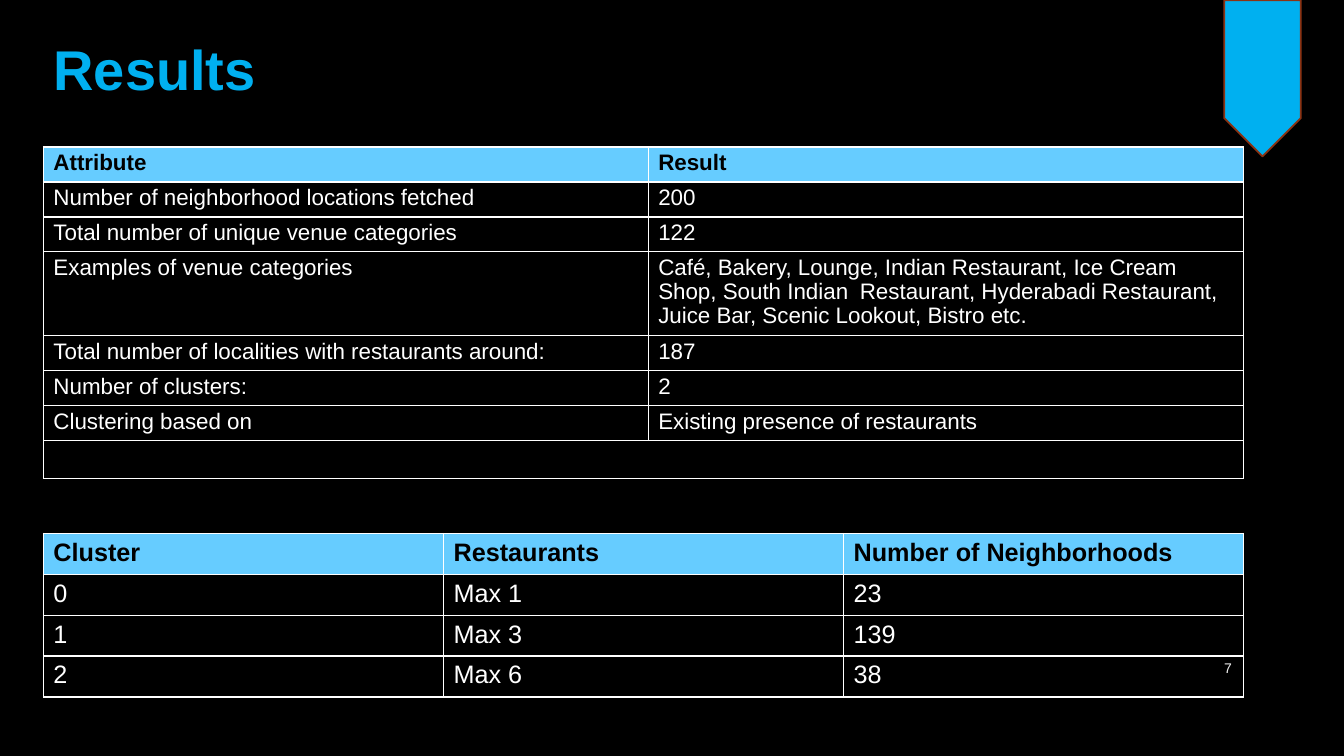
import pptx
import pptx.util
import pptx.dml.color
import pptx.enum.shapes
import pptx.enum.text
import pptx.oxml.ns
from lxml import etree

Pt = pptx.util.Pt
ALIGN = pptx.enum.text.PP_ALIGN
ANCHOR = pptx.enum.text.MSO_ANCHOR

FONT = "Arial"
BLACK, WHITE, PALE = "000000", "FFFFFF", "F2F2F2"
ACCENT, HEADER, RUST, OUTLINE = "00B0F0", "66CCFF", "8B3314", "404040"

TITLE = "Results"
PAGE = "7"
FINDINGS = [
    ("Attribute", "Result"),
    ("Number of neighborhood locations fetched", "200"),
    ("Total number of unique venue categories", "122"),
    ("Examples of venue categories",
     "Café, Bakery, Lounge, Indian Restaurant, Ice Cream Shop, South Indian \tRestaurant, "
     "Hyderabadi Restaurant, Juice Bar, Scenic Lookout, Bistro etc."),
    ("Total number of localities with restaurants around:", "187"),
    ("Number of clusters:", "2"),
    ("Clustering based on", "Existing presence of restaurants"),
    ("", ""),
]
CLUSTERS = [
    ("Cluster", "Restaurants", "Number of Neighborhoods"),
    ("0", "Max 1", "23"),
    ("1", "Max 3", "139"),
    ("2", "Max 6", "38"),
]
LEFT = 31
FINDING_WIDTHS = [432, 425]
FINDING_HEIGHTS = [25, 25, 25, 60, 25, 25, 25, 25]
CLUSTER_WIDTHS = [285.8] * 3
CLUSTER_HEIGHTS = [29.2] * 4


def rgb(value):
    return pptx.dml.color.RGBColor.from_string(value)


def box(left, top, width, height):
    return Pt(left), Pt(top), Pt(width), Pt(height)


def child(parent, tag, **attributes):
    return etree.SubElement(parent, pptx.oxml.ns.qn(tag), **attributes)


def write(frame, text, size=16, color=WHITE, bold=False, align=ALIGN.LEFT, spacing=None):
    frame.word_wrap = True
    paragraph = frame.paragraphs[0]
    paragraph.alignment = align
    paragraph.line_spacing = spacing
    if not text:
        child(paragraph._p, "a:endParaRPr", sz=str(size * 100))
        return None
    run = paragraph.add_run()
    run.text = text
    run.font.name = FONT
    run.font.size = Pt(size)
    run.font.bold = bold
    run.font.color.rgb = rgb(color)
    return run


def add_borders(cell):
    properties = cell._tc.get_or_add_tcPr()
    for side in ("a:lnL", "a:lnR", "a:lnT", "a:lnB"):
        border = child(properties, side, w=str(Pt(1)))
        child(child(border, "a:solidFill"), "a:srgbClr", val=WHITE)


def add_grid(slide, rows, top, widths, heights, size, spacing=None):
    frame = slide.shapes.add_table(
        len(rows), len(widths), *box(LEFT, top, sum(widths), sum(heights)))
    grid = frame.table
    for column, width in zip(grid.columns, widths):
        column.width = Pt(width)
    for index, (row, height) in enumerate(zip(rows, heights)):
        grid.rows[index].height = Pt(height)
        heading = index == 0
        for position, text in enumerate(row):
            cell = grid.cell(index, position)
            add_borders(cell)
            if heading:
                cell.fill.solid()
                cell.fill.fore_color.rgb = rgb(HEADER)
            else:
                cell.fill.background()
            write(cell.text_frame, text, size=size, bold=heading,
                  color=BLACK if heading else WHITE, spacing=spacing)
    return grid


def main():
    deck = pptx.Presentation()
    deck.slide_width, deck.slide_height = Pt(960), Pt(540)
    slide = deck.slides.add_slide(deck.slide_layouts[5])
    slide.background.fill.solid()
    slide.background.fill.fore_color.rgb = rgb(BLACK)

    title = slide.shapes.title
    title.left, title.top, title.width, title.height = box(LEFT, 10.8, 724.3, 76.3)
    title.text_frame.vertical_anchor = ANCHOR.MIDDLE
    heading = write(title.text_frame, TITLE, size=40, color=ACCENT, bold=True)
    edge = etree.Element(pptx.oxml.ns.qn("a:ln"), w=str(Pt(0.75)))
    tint = child(child(edge, "a:solidFill"), "a:srgbClr", val=OUTLINE)
    child(tint, "a:alpha", val="10000")
    heading.font._element.insert(0, edge)

    ribbon = slide.shapes.add_shape(
        pptx.enum.shapes.MSO_SHAPE.PENTAGON, *box(846, 28.6, 111.6, 54.7))
    ribbon.rotation = 90
    ribbon.shadow.inherit = False
    ribbon.fill.solid()
    ribbon.fill.fore_color.rgb = rgb(ACCENT)
    ribbon.line.color.rgb = rgb(RUST)
    ribbon.line.width = Pt(1.25)

    findings = add_grid(slide, FINDINGS, 105, FINDING_WIDTHS, FINDING_HEIGHTS, 16, spacing=0.95)
    last = len(FINDINGS) - 1
    findings.cell(last, 0).merge(findings.cell(last, 1))
    add_grid(slide, CLUSTERS, 381, CLUSTER_WIDTHS, CLUSTER_HEIGHTS, 18)

    page = slide.shapes.add_textbox(*box(828, 463, 59, 28.8))
    page.text_frame.vertical_anchor = ANCHOR.MIDDLE
    write(page.text_frame, PAGE, size=10, color=PALE, align=ALIGN.RIGHT)

    deck.save("out.pptx")


if __name__ == "__main__":
    main()
